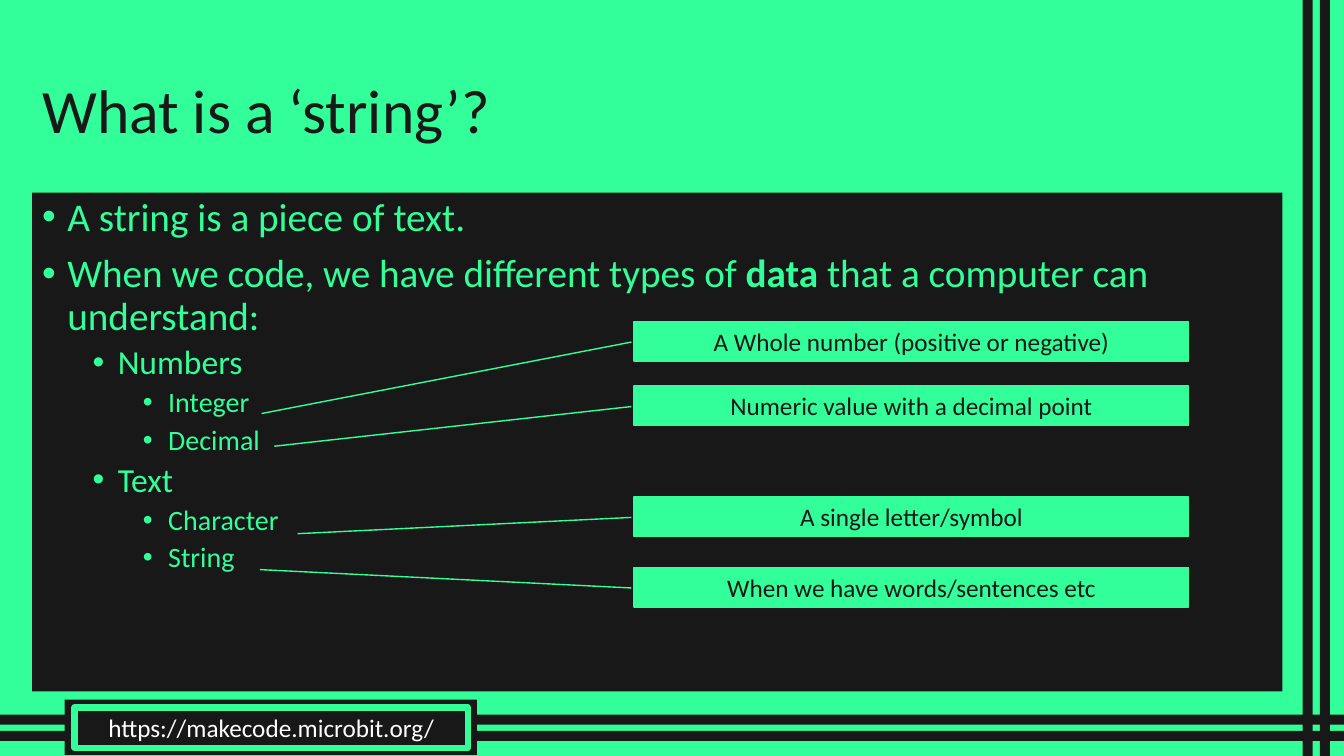
import pptx
import pptx.dml.color
import pptx.enum.shapes
import pptx.enum.text
import pptx.oxml.ns
import pptx.util
from lxml import etree

Inches, Pt = pptx.util.Inches, pptx.util.Pt
SHAPE = pptx.enum.shapes.MSO_SHAPE
ALIGN = pptx.enum.text.PP_ALIGN
ANCHOR = pptx.enum.text.MSO_ANCHOR
COLORS = {"green": "32FF9A", "dark": "181818", "title": "181918", "white": "FFFFFF"}


class Deck:
    """Holds the style and the current slide."""

    font = "Calibri"
    bullet_sizes = (28, 24, 20)

    def __init__(self, width, height):
        self.prs = pptx.Presentation()
        self.prs.slide_width, self.prs.slide_height = Inches(width), Inches(height)

    def color(self, name):
        return pptx.dml.color.RGBColor.from_string(COLORS[name])

    def new_slide(self, background):
        self.slide = self.prs.slides.add_slide(self.prs.slide_layouts[5])
        fill = self.slide.background.fill
        fill.solid()
        fill.fore_color.rgb = self.color(background)

    def run(self, paragraph, text, size, color, bold=False):
        run = paragraph.add_run()
        run.text = text
        run.font.name, run.font.size, run.font.bold = self.font, Pt(size), bold
        run.font.color.rgb = self.color(color)

    def title(self, text, box):
        title = self.slide.shapes.title
        title.left, title.top, title.width, title.height = map(Inches, box)
        frame = title.text_frame
        frame.auto_size = pptx.enum.text.MSO_AUTO_SIZE.NONE
        frame.vertical_anchor = ANCHOR.MIDDLE
        heading = frame.paragraphs[0]
        heading.alignment, heading.line_spacing = ALIGN.LEFT, 0.9
        self.run(heading, text, 44, "title")

    def block(self, box, fill, line=None, line_width=1, kind=SHAPE.RECTANGLE):
        block = self.slide.shapes.add_shape(kind, *map(Inches, box))
        block.shadow.inherit = False
        block.fill.solid()
        block.fill.fore_color.rgb = self.color(fill)
        if line:
            block.line.color.rgb = self.color(line)
            block.line.width = Pt(line_width)
        else:
            block.line.fill.background()
        block.text_frame.word_wrap = True
        return block

    def label(self, block, text, color):
        block.text_frame.vertical_anchor = ANCHOR.MIDDLE
        caption = block.text_frame.paragraphs[0]
        caption.alignment = ALIGN.CENTER
        self.run(caption, text, 18, color)

    def callout(self, box, text, tail):
        callout = self.block(box, "green", "green", kind=SHAPE.LINE_CALLOUT_1)
        for index, value in enumerate((0.521, -0.005, *tail)):
            callout.adjustments[index] = value
        self.label(callout, text, "dark")

    def bullets(self, box, items):
        frame = self.block(box, "dark").text_frame
        frame.vertical_anchor = ANCHOR.TOP
        for index, (level, parts) in enumerate(items):
            item = frame.add_paragraph() if index else frame.paragraphs[0]
            properties = item._p.get_or_add_pPr()
            properties.set("marL", str(Inches(0.25 + 0.5 * level)))
            properties.set("indent", str(Inches(-0.25)))
            for tag, key, value in (("a:buFont", "typeface", "Arial"), ("a:buChar", "char", "•")):
                etree.SubElement(properties, pptx.oxml.ns.qn(tag)).set(key, value)
            item.level, item.alignment, item.line_spacing = level, ALIGN.LEFT, 0.9
            if index:
                item.space_before = Pt(5 if level else 10)
            for text, bold in parts:
                self.run(item, text, self.bullet_sizes[level], "green", bold)


def main():
    deck = Deck(13.33, 7.5)
    deck.new_slide("green")

    # Frame stripes on the right and along the bottom
    for left in (12.92, 13.09):
        deck.block((left, 0, 0.1, 7.5), "dark")
    for top in (7.09, 7.25):
        deck.block((0, top, 13.33, 0.1), "dark")

    # Web address plate
    deck.block((0.64, 6.94, 4.09, 0.55), "dark")
    address = deck.block((0.74, 7.02, 3.9, 0.4), "dark", "green", 4.5)
    deck.label(address, "https://makecode.microbit.org/", "white")

    # Title and bullet list
    deck.title("What is a ‘string’?", (0.32, 0.4, 12.4, 1.45))
    types = ((1, "Numbers"), (2, "Integer"), (2, "Decimal"),
             (1, "Text"), (2, "Character"), (2, "String"))
    deck.bullets((0.32, 1.91, 12.4, 4.95), [
        (0, [("A string is a piece of text.", False)]),
        (0, [("When we code, we have different types of ", False), ("data", True),
             (" that a computer can understand:", False)]),
        *((level, [(name, False)]) for level, name in types),
    ])

    # Definitions pointing at the data types
    definitions = (
        (3.19, "A Whole number (positive or negative)", (2.339, -0.672)),
        (3.83, "Numeric value with a decimal point", (1.53, -0.649)),
        (4.93, "A single letter/symbol", (0.935, -0.607)),
        (5.63, "When we have words/sentences etc", (0.054, -0.675)),
    )
    for top, text, tail in definitions:
        deck.callout((6.29, top, 5.5, 0.39), text, tail)

    deck.prs.save("out.pptx")


if __name__ == "__main__":
    main()
